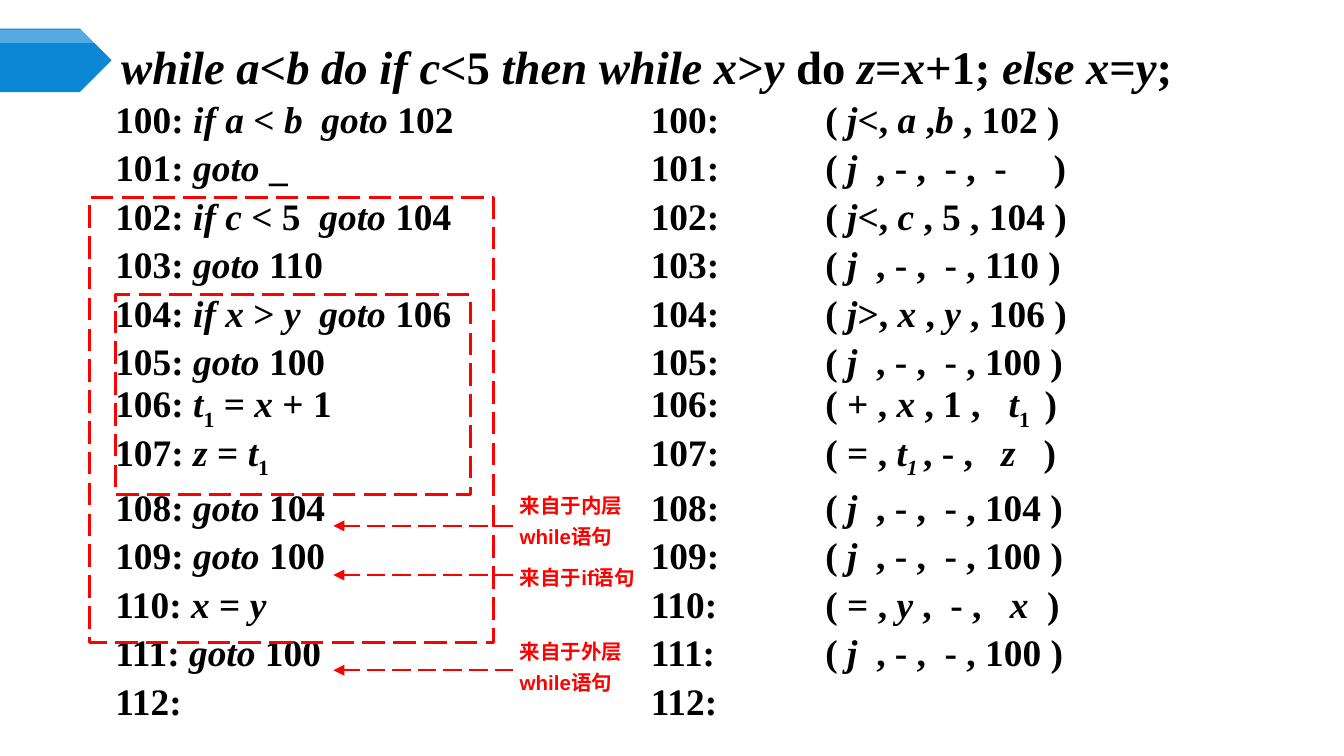
from lxml import etree
from pptx import Presentation
from pptx.dml.color import RGBColor
from pptx.enum.dml import MSO_LINE
from pptx.enum.shapes import MSO_CONNECTOR, MSO_SHAPE
from pptx.enum.text import MSO_ANCHOR, PP_ALIGN
from pptx.oxml.ns import qn
from pptx.util import Cm, Pt

PENTAGON = MSO_SHAPE.PENTAGON
RECTANGLE = MSO_SHAPE.RECTANGLE
STRAIGHT = MSO_CONNECTOR.STRAIGHT
LONG_DASH = MSO_LINE.LONG_DASH
MIDDLE = MSO_ANCHOR.MIDDLE
TOP = MSO_ANCHOR.TOP
LEFT = PP_ALIGN.LEFT

COLORS = {"text": "000000", "mark": "FF0000", "banner": "0B87D6", "gloss": "FFFFFF"}
SERIF, SANS = "Times New Roman", "Arial"
TITLE_ONLY = 5

TITLE = "*while a*<*b do if c*<5 *then while x*>*y* do *z*=*x*+1; *else x*=*y*;"
STATEMENTS = [
    "100:* if a* < *b  goto* 102",
    "101: *goto* _",
    "102: *if c* < 5  *goto* 104",
    "103: *goto* 110",
    "104: *if x* > *y  goto* 106",
    "105: *goto* 100",
    "106: *t*^1^ = *x* + 1",
    "107: *z* = *t*^1^",
    "108: *goto* 104",
    "109: *goto* 100",
    "110: *x* = *y*",
    "111: *goto* 100",
    "112:",
]
QUADRUPLES = [
    "100:\t( *j*<,* a *,*b* , 102 )",
    "101: \t( *j * , - ,  - ,  -     )",
    "102: \t( *j*<, *c *, 5 , 104 )",
    "103: \t( *j*  , - ,  - , 110 )",
    "104: \t( *j*>, *x* , *y* , 106 )",
    "105: \t( *j*  , - ,  - , 100 )",
    "106: \t( + , *x* , 1 ,   *t*^1 ^ )",
    "107: \t( = , *t^1 ^*, - ,   *z*   )",
    "108: \t( *j*  , - ,  - , 104 )",
    "109: \t( *j * , - ,  - , 100 )",
    "110: \t( = , *y* ,  - ,   *x*  )",
    "111: \t(* j  *, - ,  - , 100 )",
    "112:",
]
LOOP_FRAMES = [(2.18, 5.57, 6.72, 3.78), (1.7, 3.74, 7.63, 8.41)]
NOTES = [
    ((9.57, 9.2, 3.33, 1.35), 9.94, ["来自于内层", "while语句"]),
    ((9.57, 10.55, 3.33, 0.74), 10.87, ["来自于if语句"]),
    ((9.57, 11.95, 3.33, 1.35), 12.67, ["来自于外层", "while语句"]),
]


def lengths(box):
    return [Cm(value) for value in box]


def set_font(para, name, size, color):
    para.font.name = name
    para.font.size = Pt(size)
    para.font.bold = True
    para.font.color.rgb = RGBColor.from_string(COLORS[color])


def write_marked(para, text):
    for i, part in enumerate(text.split("*")):
        for j, piece in enumerate(part.split("^")):
            if piece:
                span = para.add_run()
                span.text = piece
                span.font.italic = i % 2 == 1
                if j % 2:
                    span.font._element.set("baseline", "-25000")


def set_frame(frame, side, anchor):
    frame.word_wrap = True
    frame.vertical_anchor = anchor
    frame.margin_left = frame.margin_right = Cm(side)
    frame.margin_top = frame.margin_bottom = Cm(0.11)


def add_paragraphs(frame, count):
    return [frame.paragraphs[0]] + [frame.add_paragraph() for _ in range(count - 1)]


def dash_line(line, width):
    line.color.rgb = RGBColor.from_string(COLORS["mark"])
    line.width = Pt(width)
    line.dash_style = LONG_DASH


def add_banner(page, box):
    left, top, width, height = box
    gloss_box = (left, top + 0.02, width, 0.25)
    for place, color in ((box, "banner"), (gloss_box, "gloss")):
        shape = page.shapes.add_shape(PENTAGON, *lengths(place))
        shape.shadow.inherit = False
        shape.fill.solid()
        shape.fill.fore_color.rgb = RGBColor.from_string(COLORS[color])
        shape.line.fill.background()
    tint = shape._element.spPr.find(".//" + qn("a:srgbClr"))
    etree.SubElement(tint, qn("a:alpha")).set("val", "30000")


def place_title(page, box):
    title = page.shapes.title
    title.left, title.top, title.width, title.height = lengths(box)
    set_frame(title.text_frame, 0.18, MIDDLE)
    para = title.text_frame.paragraphs[0]
    para.alignment = LEFT
    set_font(para, SERIF, 25, "text")
    write_marked(para, TITLE)


def add_listing(page, box, rows, side):
    frame = page.shapes.add_textbox(*lengths(box)).text_frame
    set_frame(frame, side, TOP)
    for para, row in zip(add_paragraphs(frame, len(rows)), rows):
        para.line_spacing = Pt(22)
        para.space_before = Pt(4)
        set_font(para, SERIF, 20, "text")
        write_marked(para, row)
        properties = para._p.get_or_add_pPr()
        properties.set("marL", str(Cm(0.76)))
        properties.set("indent", str(Cm(-0.76)))
        properties.set("defTabSz", str(Cm(2.54)))


def add_loop_frame(page, box):
    shape = page.shapes.add_shape(RECTANGLE, *lengths(box))
    shape.shadow.inherit = False
    shape.fill.background()
    dash_line(shape.line, 1.5)


def add_note(page, box, arrow_y, rows):
    start = box[0] + 0.13
    arrow = page.shapes.add_connector(
        STRAIGHT, *lengths((start, arrow_y, start - 3.4, arrow_y)))
    dash_line(arrow.line, 1.25)
    etree.SubElement(arrow.line._get_or_add_ln(), qn("a:tailEnd"), type="triangle")
    etree.SubElement(arrow._element.spPr, qn("a:effectLst"))

    frame = page.shapes.add_textbox(*lengths(box)).text_frame
    frame.word_wrap = True
    for para, row in zip(add_paragraphs(frame, len(rows)), rows):
        para.text = row
        para.space_before = Pt(3.3)
        set_font(para, SANS, 11, "mark")


def main():
    deck = Presentation()
    deck.slide_width, deck.slide_height = Cm(25.4), Cm(14.29)
    page = deck.slides.add_slide(deck.slide_layouts[TITLE_ONLY])
    add_banner(page, (0, 0.54, 2.11, 1.2))
    place_title(page, (2.11, 0.74, 22.02, 0.99))
    add_listing(page, (1.98, 1.77, 7.9, 12.5), STATEMENTS, 0.2)
    add_listing(page, (12.12, 1.77, 10.59, 8.59), QUADRUPLES, 0.18)
    for box in LOOP_FRAMES:
        add_loop_frame(page, box)
    for box, arrow_y, rows in NOTES:
        add_note(page, box, arrow_y, rows)
    deck.save("out.pptx")


if __name__ == "__main__":
    main()
